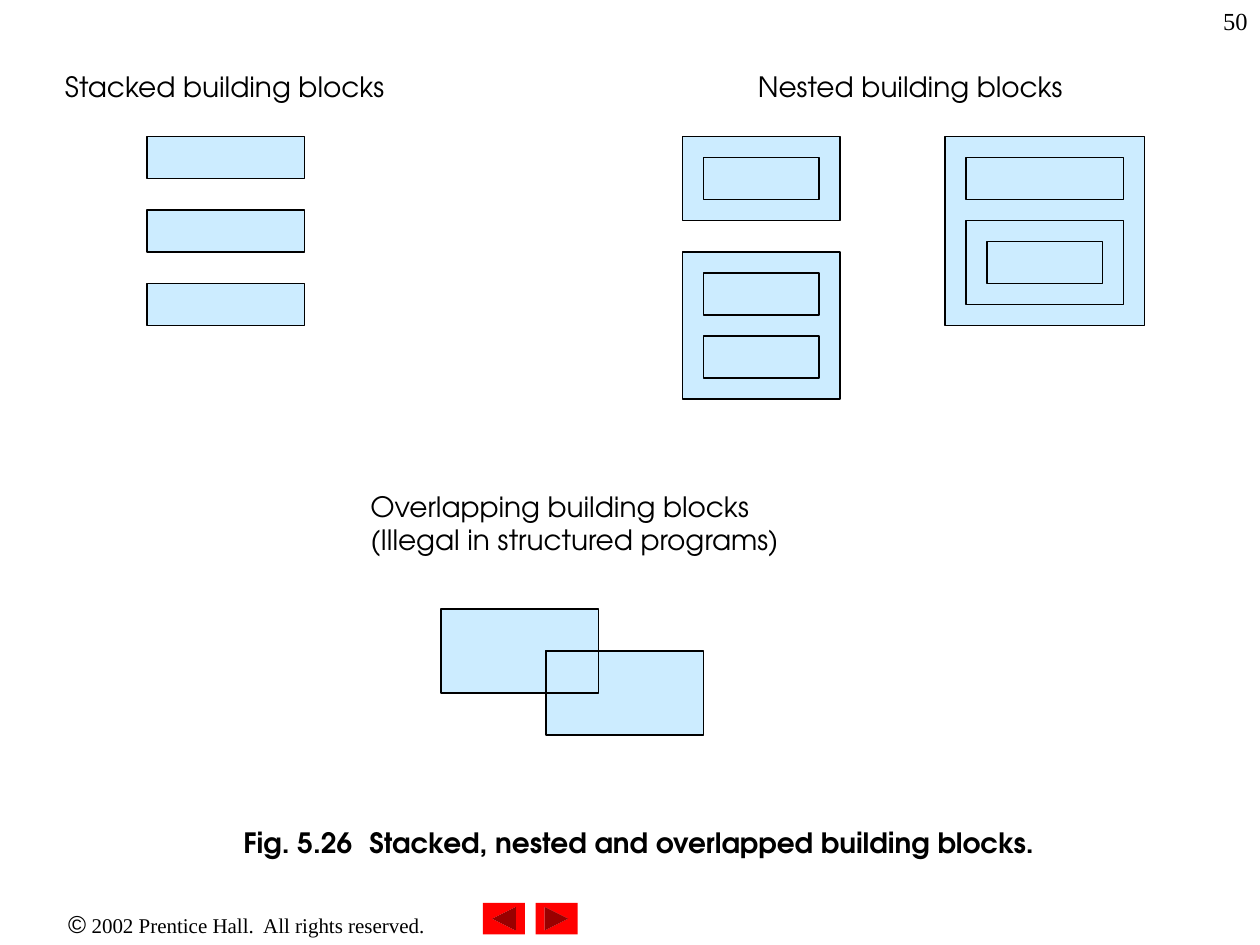
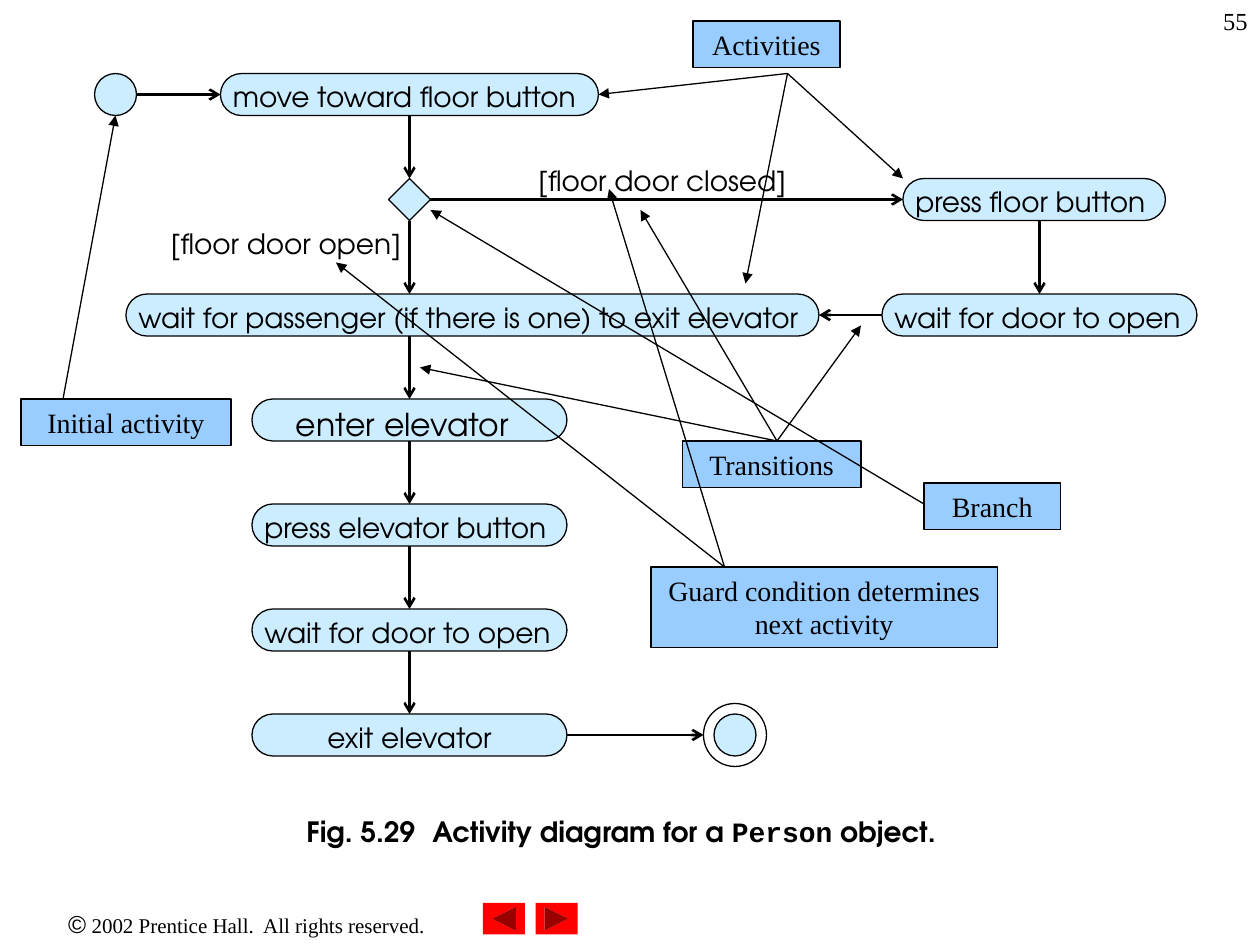
from lxml import etree
from pptx import Presentation
from pptx.dml.color import RGBColor
from pptx.enum.shapes import MSO_CONNECTOR, MSO_SHAPE
from pptx.enum.text import MSO_ANCHOR, PP_ALIGN
from pptx.oxml.ns import qn
from pptx.util import Cm, Pt

RECTANGLE, PILL = MSO_SHAPE.RECTANGLE, MSO_SHAPE.ROUNDED_RECTANGLE
ELLIPSE, DIAMOND = MSO_SHAPE.OVAL, MSO_SHAPE.DIAMOND
NEXT_BUTTON = MSO_SHAPE.ACTION_BUTTON_FORWARD_OR_NEXT
LEFT, CENTER, RIGHT = PP_ALIGN.LEFT, PP_ALIGN.CENTER, PP_ALIGN.RIGHT

BLACK, RED = "000000", "FF0000"
BLOCK_BLUE, CALLOUT_BLUE = "CCECFF", "99CCFF"
SANS, SERIF, MONO, SYMBOL = "TeX Gyre Adventor", "Times New Roman", "Courier New", "Arial"

# Everything sits on a grid of twelve units to the inch.
UNIT = 2.54 / 12
ONE_LINE, TWO_LINES = 4.44, 7.7
INSET_X, INSET_Y = 1.2, 0.6
PILL_INSET = 0.6  # a pill's own text area already starts this far in


def add_box(slide, box, text="", kind=None, fill=None, line=BLACK, font=SANS,
            size=16, bold=False, align=LEFT, indent=0):
    """Add a shape, or a text box if kind is None; box is in grid units.

    Text is a string with one paragraph per line, or a list of (text, font, size).
    """
    lengths = [Cm(value * UNIT) for value in box]
    if kind is None:
        shape = slide.shapes.add_textbox(*lengths)
    else:
        shape = slide.shapes.add_shape(kind, *lengths)
        shape.shadow.inherit = False
        if fill:
            shape.fill.solid()
            shape.fill.fore_color.rgb = RGBColor.from_string(fill)
        else:
            shape.fill.background()
        if line:
            shape.line.color.rgb = RGBColor.from_string(line)
            shape.line.width = Pt(0.75)
        else:
            shape.line.fill.background()
        if kind == PILL:
            shape.adjustments[0] = 0.5
    if not text:
        return shape

    frame = shape.text_frame
    frame.word_wrap = True
    frame.vertical_anchor = MSO_ANCHOR.TOP
    own_inset = PILL_INSET if kind == PILL else 0
    frame.margin_left = Cm((INSET_X - own_inset + indent) * UNIT)
    frame.margin_right = Cm((INSET_X - 2 * own_inset) * UNIT)
    frame.margin_top = frame.margin_bottom = Cm((INSET_Y - own_inset) * UNIT)
    if isinstance(text, str):
        paragraphs = [[(part, font, size)] for part in text.split("\n")]
    else:
        paragraphs = [text]
    for index, runs in enumerate(paragraphs):
        paragraph = frame.add_paragraph() if index else frame.paragraphs[0]
        paragraph.alignment = align
        for run_text, run_font, run_size in runs:
            run = paragraph.add_run()
            run.text = run_text
            run.font.name = run_font
            run.font.size = Pt(run_size)
            run.font.bold = bold
            run.font.color.rgb = RGBColor.from_string(BLACK)
    return shape


def add_arrow(slide, start, end, width, head):
    points = [Cm(value * UNIT) for value in (*start, *end)]
    connector = slide.shapes.add_connector(MSO_CONNECTOR.STRAIGHT, *points)
    connector.line.color.rgb = RGBColor.from_string(BLACK)
    connector.line.width = Pt(width)
    properties = connector.element.spPr
    etree.SubElement(properties.find(qn("a:ln")), qn("a:tailEnd"), type=head)
    etree.SubElement(properties, qn("a:effectLst"))


presentation = Presentation()
presentation.slide_width, presentation.slide_height = Cm(25.4), Cm(19.05)

# Shared page number, copyright line and navigation buttons
slides = []
for page_number in ("50", "55"):
    slide = presentation.slides.add_slide(presentation.slide_layouts[6])
    add_box(slide, (0, 86, 47, 4.1),
            [("©", SYMBOL, 14), (" 2002 Prentice Hall.  All rights reserved.", SERIF, 12)],
            align=CENTER)
    for left, rotation in ((51, 0), (46, 180)):
        button = add_box(slide, (left, 86, 4, 3), kind=NEXT_BUTTON, fill=RED, line=None)
        button.rotation = rotation
    add_box(slide, (95, 0, 25, 6), page_number, font=SERIF, size=14, align=RIGHT)
    slides.append(slide)
blocks_slide, activity_slide = slides

# Slide 1: building blocks
add_box(blocks_slide, (22, 78, 79, ONE_LINE),
        "Fig. 5.26\tStacked, nested and overlapped building blocks.", bold=True)
for box, heading in (
    ((5, 6, 34, ONE_LINE), "Stacked building blocks"),
    ((71, 6, 33, ONE_LINE), "Nested building blocks"),
    ((34.1, 46, 43, TWO_LINES), "Overlapping building blocks\n(Illegal in structured programs)"),
):
    add_box(blocks_slide, box, heading)

stacked_blocks = [(14, top, 15, 4) for top in range(13, 28, 7)]
nested_blocks = [
    (65, 13, 15, 8), (67, 15, 11, 4),
    (65, 24, 15, 14), (67, 26, 11, 4), (67, 32, 11, 4),
    (90, 13, 19, 18), (92, 15, 15, 4), (92, 21, 15, 8), (94, 23, 11, 4),
]
overlapping_blocks = [(42, 58, 15, 8), (52, 62, 15, 8), (52, 62, 5, 4)]
for box in stacked_blocks + nested_blocks + overlapping_blocks:
    add_box(blocks_slide, box, kind=RECTANGLE, fill=BLOCK_BLUE)

# Slide 2: activity diagram
add_box(activity_slide, (28, 77, 64, ONE_LINE),
        [("Fig. 5.29\tActivity diagram for a ", SANS, 16), ("Person", MONO, 16),
         (" object.", SANS, 16)], bold=True)

for kind, box, fill in (
    (ELLIPSE, (9, 7, 4, 4), BLOCK_BLUE),
    (DIAMOND, (37, 17, 4, 4), BLOCK_BLUE),
    (ELLIPSE, (68, 68, 4, 4), BLOCK_BLUE),
    (ELLIPSE, (67, 67, 6, 6), None),
):
    add_box(activity_slide, box, kind=kind, fill=fill)

for left, top, width, activity, size, indent in (
    (21, 7, 36, "move toward floor button", 16, 0),
    (86, 17, 25, "press floor button", 16, 0),
    (12, 28, 66, "wait for passenger (if there is one) to exit elevator", 16, 0),
    (84, 28, 30, "wait for door to open", 16, 0),
    (24, 38, 30, "enter elevator", 18, 3),
    (24, 48, 30, "press elevator button", 16, 0),
    (24, 58, 30, "wait for door to open", 16, 0),
    (24, 68, 30, "exit elevator", 16, 6),
):
    add_box(activity_slide, (left, top, width, 4), activity, kind=PILL,
            fill=BLOCK_BLUE, size=size, indent=indent)

main_flow = [((39, top), (39, bottom)) for top, bottom in
             ((11, 17), (21, 28), (32, 38), (42, 48), (52, 58), (62, 68))]
side_flow = [
    ((13, 9), (21, 9)), ((41, 19), (86, 19)), ((99, 21), (99, 28)),
    ((84, 30), (78, 30)), ((54, 70), (67, 70)),
]
for start, end in main_flow + side_flow:
    add_arrow(activity_slide, start, end, 1.5, "arrow")

add_box(activity_slide, (50.1, 15, 27, ONE_LINE), "[floor door closed]")
add_box(activity_slide, (15.1, 21, 25, ONE_LINE), "[floor door open]")

for box, label, start, targets in (
    ((66, 2, 14, ONE_LINE), "Activities", (75, 7), [(71, 27), (86, 17), (57, 9)]),
    ((2, 38, 20, ONE_LINE), "Initial activity", (6, 38), [(11, 11)]),
    ((65, 42, 17, ONE_LINE), "Transitions", (74, 42), [(82, 31), (40, 35), (61, 20)]),
    ((88, 46, 13, ONE_LINE), "Branch", (88, 48), [(41, 20)]),
    ((62, 54, 33, TWO_LINES), "Guard condition determines next activity", (69, 54),
     [(32, 25), (58, 18)]),
):
    add_box(activity_slide, box, label, kind=RECTANGLE, fill=CALLOUT_BLUE,
            font=SERIF, align=CENTER)
    for target in targets:
        add_arrow(activity_slide, start, target, 0.75, "triangle")

presentation.save("out.pptx")
